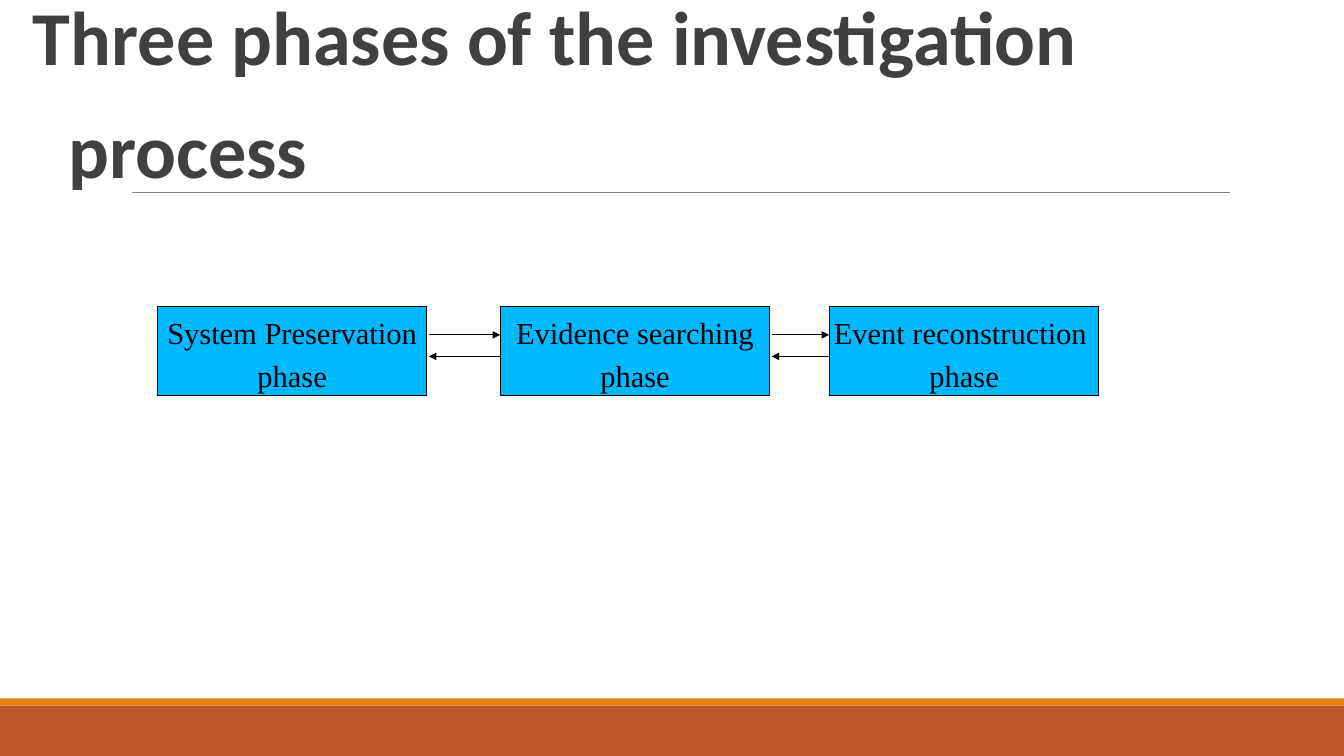
from dataclasses import dataclass
from lxml import etree
from pptx import Presentation
from pptx.dml.color import RGBColor
from pptx.enum.shapes import MSO_CONNECTOR, MSO_SHAPE
from pptx.enum.text import MSO_ANCHOR, MSO_AUTO_SIZE, PP_ALIGN
from pptx.oxml.ns import qn
from pptx.util import Inches, Pt

RECT = MSO_SHAPE.RECTANGLE
STRAIGHT = MSO_CONNECTOR.STRAIGHT
LEFT, CENTER = PP_ALIGN.LEFT, PP_ALIGN.CENTER
BOTTOM, MIDDLE = MSO_ANCHOR.BOTTOM, MSO_ANCHOR.MIDDLE
NO_FIT = MSO_AUTO_SIZE.NONE

TITLE = "Three phases of the investigation process"
PHASES = [
    ("System Preservation", "phase"),
    ("Evidence searching", "phase"),
    ("Event reconstruction ", "phase"),
]


@dataclass(frozen=True)
class Theme:
    title_font: str = "Calibri"
    body_font: str = "Times New Roman"
    title_size: int = 60
    body_size: int = 24
    title: str = "404040"
    ink: str = "000000"
    box: str = "00B8FF"
    rule: str = "7F7F7F"
    band: str = "BD582C"
    stripe: str = "E48312"


THEME = Theme()
W, H = 14.7, 8.27
BAND_H, STRIPE_H = 0.55, 0.08
RULE_X, RULE_Y, RULE_W = 1.44, 2.1, 12.01
BOX_Y, BOX_W, BOX_H = 3.35, 2.95, 0.98
BOX_LEFTS = [1.72, 5.47, 9.07]
FORWARD_Y = BOX_Y + 0.32 * BOX_H
BACK_Y = BOX_Y + 0.56 * BOX_H
ARROW_GAP = 0.02


def add_text(p, text, font, size, color, bold=False):
    r = p.add_run()
    r.text = text
    r.font.name = font
    r.font.size = Pt(size)
    r.font.bold = bold
    r.font.color.rgb = RGBColor.from_string(color)


def add_rect(s, x, y, w, h, fill, line=None):
    sp = s.shapes.add_shape(RECT, Inches(x), Inches(y), Inches(w), Inches(h))
    sp.shadow.inherit = False
    sp.fill.solid()
    sp.fill.fore_color.rgb = RGBColor.from_string(fill)
    if line:
        sp.line.color.rgb = RGBColor.from_string(line)
        sp.line.width = Pt(0.75)
    else:
        sp.line.fill.background()
    return sp


def add_line(s, x1, x2, y, color, width, arrow=False):
    cx = s.shapes.add_connector(STRAIGHT, Inches(x1), Inches(y), Inches(x2), Inches(y))
    cx.line.color.rgb = RGBColor.from_string(color)
    cx.line.width = Pt(width)
    if arrow:
        etree.SubElement(cx.line._get_or_add_ln(), qn("a:tailEnd"), type="triangle")
    etree.SubElement(cx._element.spPr, qn("a:effectLst"))


def add_title(s):
    sp = s.shapes.title
    sp.left, sp.top = Inches(0.26), Inches(0.99)
    sp.width, sp.height = Inches(14.17), Inches(1.18)
    tf = sp.text_frame
    tf.word_wrap = True
    tf.auto_size = NO_FIT
    tf.vertical_anchor = BOTTOM
    p = tf.paragraphs[0]
    p.alignment = LEFT
    p.line_spacing = 1.24
    pPr = p._p.get_or_add_pPr()
    pPr.set("marL", str(Inches(0.39)))
    pPr.set("indent", str(Inches(-0.39)))
    add_text(p, TITLE, THEME.title_font, THEME.title_size, THEME.title, True)


def add_phase(s, x, lines):
    tf = add_rect(s, x, BOX_Y, BOX_W, BOX_H, THEME.box, THEME.ink).text_frame
    tf.margin_left = tf.margin_right = tf.margin_top = tf.margin_bottom = 0
    tf.word_wrap = False
    tf.vertical_anchor = MIDDLE
    for i, text in enumerate(lines):
        p = tf.add_paragraph() if i else tf.paragraphs[0]
        p.alignment = CENTER
        p.line_spacing = 1.16
        add_text(p, text, THEME.body_font, THEME.body_size, THEME.ink)


def main():
    prs = Presentation()
    prs.slide_width, prs.slide_height = Inches(W), Inches(H)
    s = prs.slides.add_slide(prs.slide_layouts[5])

    add_rect(s, 0, H - BAND_H, W, BAND_H, THEME.band)
    add_rect(s, 0, H - BAND_H - STRIPE_H, W, STRIPE_H, THEME.stripe)
    add_line(s, RULE_X, RULE_X + RULE_W, RULE_Y, THEME.rule, 0.5)
    add_title(s)

    for x, lines in zip(BOX_LEFTS, PHASES):
        add_phase(s, x, lines)
    for x, next_x in zip(BOX_LEFTS, BOX_LEFTS[1:]):
        start = x + BOX_W + ARROW_GAP
        add_line(s, start, next_x, FORWARD_Y, THEME.ink, 0.75, True)
        add_line(s, next_x, start, BACK_Y, THEME.ink, 0.75, True)

    prs.save("out.pptx")


if __name__ == "__main__":
    main()
